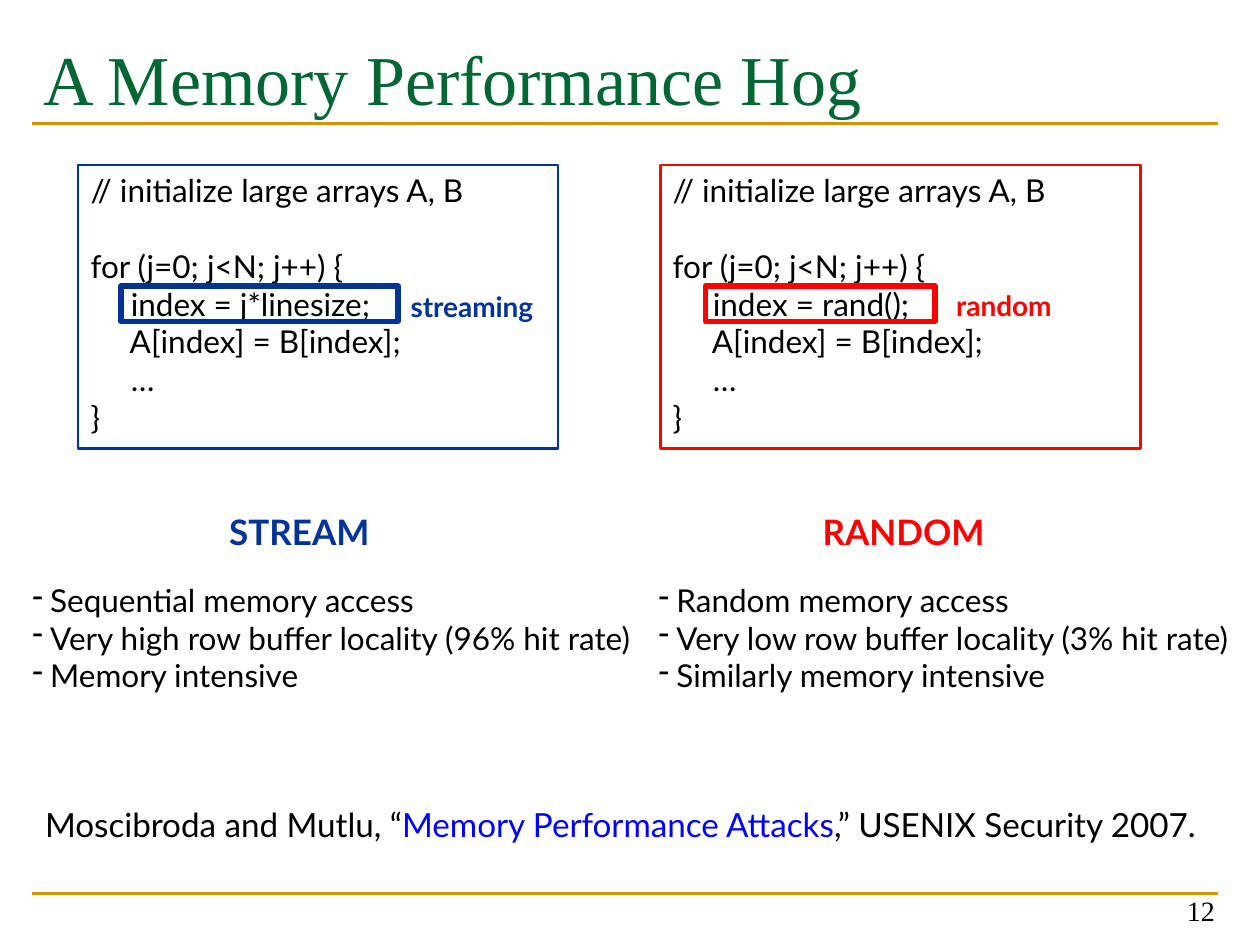
import pptx
import pptx.util
import pptx.dml.color
import pptx.enum.shapes
import pptx.enum.text
import lxml.etree
import pptx.oxml.ns

Inches = pptx.util.Inches
Pt = pptx.util.Pt
RGBColor = pptx.dml.color.RGBColor
ALIGN = pptx.enum.text.PP_ALIGN
ANCHOR = pptx.enum.text.MSO_ANCHOR
qn = pptx.oxml.ns.qn

BLACK = RGBColor(0x00, 0x00, 0x00)
GREEN = RGBColor(0x00, 0x66, 0x33)
GOLD = RGBColor(0xCC, 0x99, 0x00)
NAVY = RGBColor(0x00, 0x33, 0x99)
RED = RGBColor(0xFF, 0x00, 0x00)
BLUE = RGBColor(0x00, 0x00, 0xFF)
SERIF = "Times New Roman"

deck = pptx.Presentation()
deck.slide_width = Inches(10)
deck.slide_height = Inches(7.5)
slide = deck.slides.add_slide(deck.slide_layouts[6])
shapes = slide.shapes


def add_text(box, lines, size=18, font="Lato", color=BLACK, bold=False,
             align=ALIGN.LEFT, anchor=ANCHOR.TOP, bullet=None):
    """Fill a shape; each line is a list of (text, color or None) runs or a string."""
    frame = box.text_frame
    frame.word_wrap = True
    frame.vertical_anchor = anchor
    for i, line in enumerate(lines):
        para = frame.paragraphs[0] if i == 0 else frame.add_paragraph()
        if bullet:
            props = para._p.get_or_add_pPr()
            props.set("marL", str(Inches(0.14)))
            props.set("indent", str(-Inches(0.14)))
            lxml.etree.SubElement(props, qn("a:buChar")).set("char", bullet)
        para.alignment = align
        for text, tint in [(line, None)] if isinstance(line, str) else line:
            run = para.add_run()
            run.text = text
            run.font.size = Pt(size)
            run.font.name = font
            run.font.bold = bold
            run.font.color.rgb = tint or color
    return frame


def add_frame(left, top, width, height, color, weight):
    """Add an unfilled rectangle with a coloured outline."""
    rect = shapes.add_shape(pptx.enum.shapes.MSO_SHAPE.RECTANGLE, Inches(left),
                            Inches(top), Inches(width), Inches(height))
    rect.shadow.inherit = False
    rect.fill.background()
    rect.line.color.rgb = color
    rect.line.width = Pt(weight)
    return rect


# Rules above and below the content
for y in (0.98, 7.09):
    rule = shapes.add_connector(pptx.enum.shapes.MSO_CONNECTOR.STRAIGHT,
                                Inches(0.25), Inches(y), Inches(9.67), Inches(y))
    rule.line.color.rgb = GOLD
    rule.line.width = Pt(1.5)
    lxml.etree.SubElement(rule._element.spPr, qn("a:effectLst"))

# Code frame left, color, index value, marker (left, width), tag (text, left, top, width),
# head (text, left, width), notes (left, width), note lines
columns = [
    (0.62, NAVY, "j*linesize", (0.96, 2.2), ("streaming", 3.16, 2.25, 1.35),
     ("STREAM", 1.72, 1.38), (0.16, 5.24),
     ["Sequential memory access",
      "Very high row buffer locality (96% hit rate)",
      "Memory intensive"]),
    (5.24, RED, "rand()", (5.6, 1.82), ("random", 7.49, 2.24, 1.08),
     ("RANDOM", 6.43, 1.49), (5.13, 5),
     ["Random memory access",
      "Very low row buffer locality (3% hit rate)",
      "Similarly memory intensive"]),
]
for left, color, value, mark, tag, head, notes, lines in columns:
    code = ["// initialize large arrays A, B",
            "for (j=0; j<N; j++) {",
            f"     index = {value};",
            "     A[index] = B[index];",
            "     …",
            "}"]
    frame = add_text(add_frame(left, 1.31, 3.81, 2.25, color, 1.5), code)
    frame.paragraphs[1].space_before = Pt(21.6)
    add_frame(mark[0], 2.27, mark[1], 0.28, color, 3)

    word, x, y, width = tag
    box = shapes.add_textbox(Inches(x), Inches(y), Inches(width), Inches(0.37))
    add_text(box, [word], size=16, color=color, bold=True)

    word, x, width = head
    box = shapes.add_textbox(Inches(x), Inches(4), Inches(width), Inches(0.44))
    add_text(box, [word], size=20, color=color, bold=True)

    x, width = notes
    box = shapes.add_textbox(Inches(x), Inches(4.56), Inches(width), Inches(1.02))
    add_text(box, lines, bullet="-")

# Title, citation and page number
title = shapes.add_textbox(Inches(0.25), Inches(0.23), Inches(9.42), Inches(0.75))
add_text(title, ["A Memory Performance Hog"], size=40, font=SERIF, color=GREEN)

cite = shapes.add_textbox(Inches(0.26), Inches(6.33), Inches(9.5), Inches(0.72))
add_text(cite, [[("Moscibroda and Mutlu, “", None),
                 ("Memory Performance Attacks", BLUE),
                 (",” USENIX Security 2007.", None)]], size=19)

page = shapes.add_textbox(Inches(7.41), Inches(6.91), Inches(2.33), Inches(0.5))
add_text(page, ["12"], size=16, font=SERIF, align=ALIGN.RIGHT, anchor=ANCHOR.BOTTOM)

deck.save("out.pptx")
